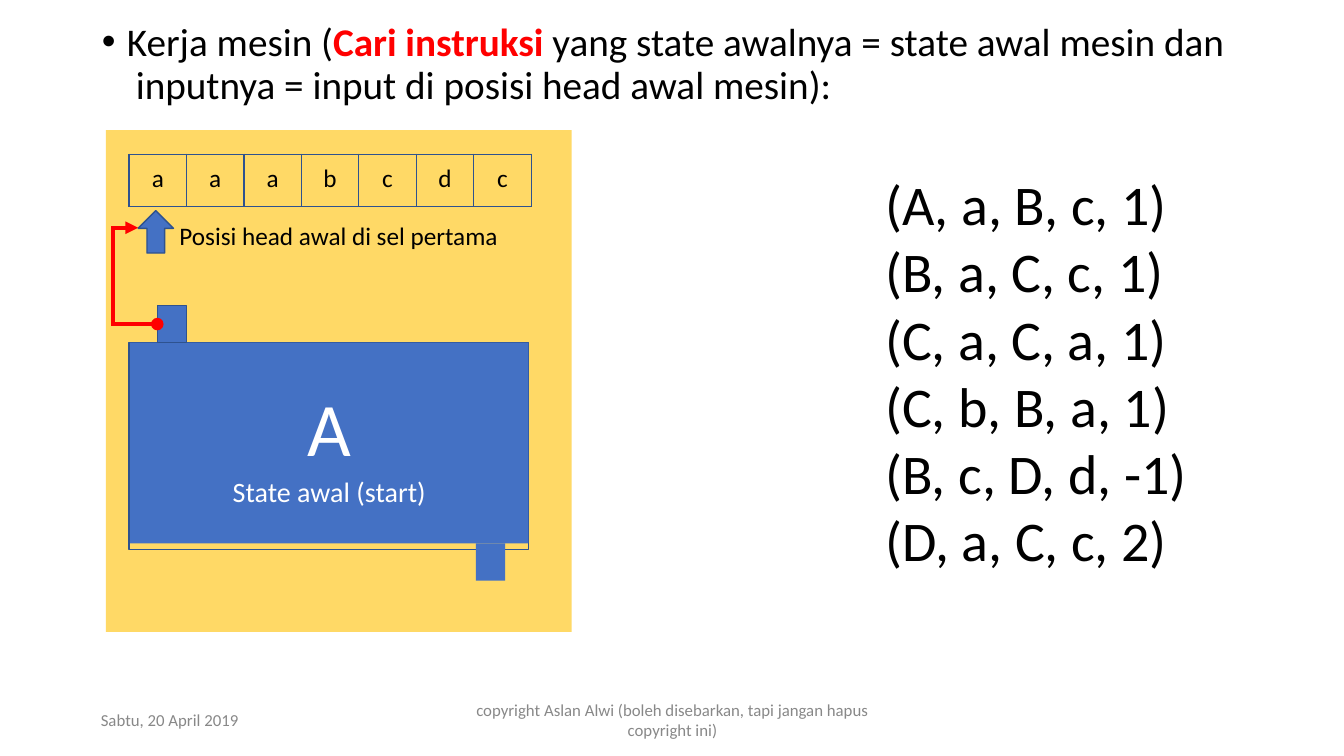
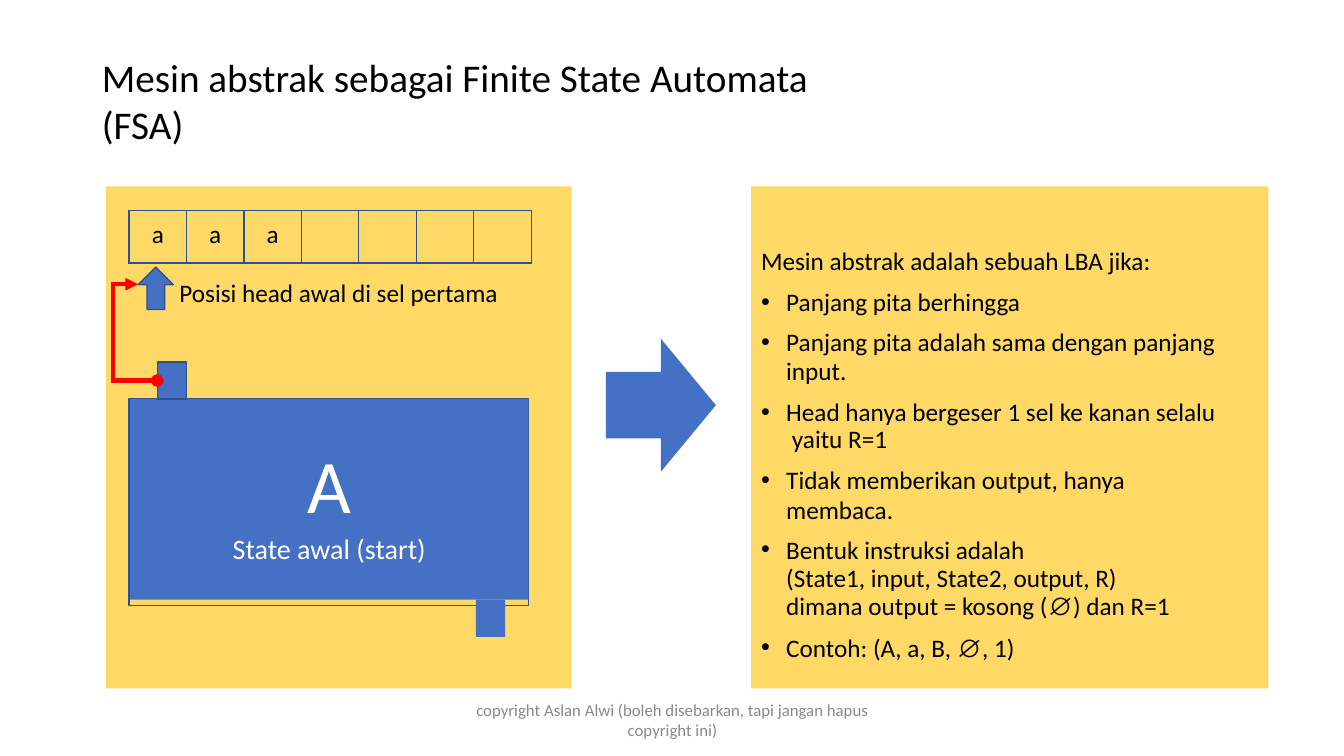
import pptx
import pptx.util
import pptx.dml.color
import pptx.enum.shapes
import pptx.enum.text
import pptx.oxml
import pptx.oxml.ns
import lxml.etree

Inches = pptx.util.Inches
Pt = pptx.util.Pt
RGBColor = pptx.dml.color.RGBColor
KIND = pptx.enum.shapes.MSO_SHAPE
ALIGN = pptx.enum.text.PP_ALIGN
ANCHOR = pptx.enum.text.MSO_ANCHOR
qn = pptx.oxml.ns.qn

BLACK = RGBColor(0x00, 0x00, 0x00)
WHITE = RGBColor(0xFF, 0xFF, 0xFF)
RED = RGBColor(0xFF, 0x00, 0x00)
GREY = RGBColor(0x88, 0x88, 0x88)
BLUE = RGBColor(0x44, 0x71, 0xC4)
NAVY = RGBColor(0x2E, 0x52, 0x8F)
GOLD = RGBColor(0xFF, 0xD9, 0x66)
FONT = "Calibri"


def draw(slide, kind, x, y, w, h, fill=None, line=None):
    shape = slide.shapes.add_shape(kind, Inches(x), Inches(y), Inches(w), Inches(h))
    shape.shadow.inherit = False
    if fill is None:
        shape.fill.background()
    else:
        shape.fill.solid()
        shape.fill.fore_color.rgb = fill
    if line is None:
        shape.line.fill.background()
    else:
        shape.line.color.rgb = line
        shape.line.width = Pt(1)
    return shape


def write(shape, rows, top=0, align=ALIGN.LEFT, color=BLACK):
    frame = shape.text_frame
    frame.word_wrap = True
    frame.vertical_anchor = ANCHOR.TOP
    frame.margin_left = frame.margin_right = frame.margin_bottom = 0
    frame.margin_top = Inches(top)
    for i, (text, size, before, lead, left) in enumerate(rows):
        para = frame.paragraphs[0] if i == 0 else frame.add_paragraph()
        para.text = text
        para.alignment = align
        if i:
            para.space_before = Pt(before)
        if lead:
            para.line_spacing = Pt(lead)
        if left:
            props = para._p.get_or_add_pPr()
            props.set("marL", str(Inches(left)))
            props.set("indent", str(Inches(-0.25)))
            face = lxml.etree.SubElement(props, qn("a:buFont"))
            face.set("typeface", "Arial")
            lxml.etree.SubElement(props, qn("a:buChar")).set("char", "•")
        para.font.name = FONT
        para.font.size = Pt(size)
        para.font.color.rgb = color
    return frame


deck = pptx.Presentation()
deck.slide_width = Inches(13.33)
deck.slide_height = Inches(7.5)

pages = []
for top, tape in ((1.29, "aaabcdc"), (1.85, "aaa    ")):
    page = deck.slides.add_slide(deck.slide_layouts[6])
    pages.append(page)
    draw(page, KIND.RECTANGLE, 1.05, top, 4.62, 4.98, GOLD)

    grid = page.shapes.add_table(
        1, 7, Inches(1.28), Inches(top + 0.24), Inches(4), Inches(0.52)).table
    grid.first_row = grid.horz_banding = False
    for i, sign in enumerate(tape):
        grid.columns[i].width = Inches(0.57)
        cell = grid.cell(0, i)
        cell.margin_left = cell.margin_right = cell.margin_bottom = 0
        cell.margin_top = Inches(0.09)
        props = cell._tc.get_or_add_tcPr()
        for side in ("a:lnL", "a:lnR", "a:lnT", "a:lnB"):
            edge = lxml.etree.SubElement(props, qn(side))
            edge.set("w", str(Pt(1)))
            ink = lxml.etree.SubElement(edge, qn("a:solidFill"))
            lxml.etree.SubElement(ink, qn("a:srgbClr")).set("val", str(NAVY))
        cell.fill.solid()
        cell.fill.fore_color.rgb = GOLD
        para = cell.text_frame.paragraphs[0]
        para.text = sign.strip()
        para.alignment = ALIGN.CENTER
        para.font.name = FONT
        para.font.size = Pt(18)
        para.font.color.rgb = BLACK

    draw(page, KIND.UP_ARROW, 1.37, top + 0.8, 0.35, 0.42, BLUE, NAVY)
    draw(page, KIND.RECTANGLE, 1.28, top + 2.11, 3.96, 2.05, None, NAVY)
    state = draw(page, KIND.RECTANGLE, 1.29, top + 2.11, 3.95, 1.99, BLUE)
    write(state, [("A", 54, 0, None, 0), ("State awal (start)", 20, 2, None, 0)],
          0.38, ALIGN.CENTER, WHITE)
    knob = draw(page, KIND.RECTANGLE, 1.56, top + 1.74, 0.29, 0.37, BLUE, NAVY)
    draw(page, KIND.RECTANGLE, 4.72, top + 4.1, 0.29, 0.37, BLUE)

    low, high = top + 1.925, top + 0.97
    route = [(1.56, low), (1.12, low), (1.12, high), (1.37, high)]
    for i, (start, stop) in enumerate(zip(route, route[1:])):
        wire = page.shapes.add_connector(
            pptx.enum.shapes.MSO_CONNECTOR.STRAIGHT,
            *[Inches(v) for v in start + stop])
        wire.line.color.rgb = RED
        wire.line.width = Pt(3)
        edge = wire.line._get_or_add_ln()
        edge.set("cap", "sq")
        if i == 0:
            wire.begin_connect(knob, 1)
            lxml.etree.SubElement(edge, qn("a:headEnd")).set("type", "oval")
        if i == 2:
            lxml.etree.SubElement(edge, qn("a:tailEnd")).set("type", "triangle")
        lxml.etree.SubElement(wire._element.spPr, qn("a:effectLst"))

    label = page.shapes.add_textbox(
        Inches(1.78), Inches(top + 0.89), Inches(3.3), Inches(0.33))
    write(label, [("Posisi head awal di sel pertama", 18, 0, None, 0)], 0.01)
    foot = page.shapes.add_textbox(Inches(4.57), Inches(6.97), Inches(4.2), Inches(0.4))
    write(foot, [("copyright Aslan Alwi (boleh disebarkan, tapi jangan hapus", 12, 0, 12.4, 0),
                 ("copyright ini)", 12, 0, None, 0)], 0, ALIGN.CENTER, GREY)

work, rules = pages

head = work.shapes.add_textbox(Inches(1), Inches(0.15), Inches(11.5), Inches(0.92))
para = write(head, [("Kerja mesin (", 28, 0, 30.3, 0.26)], 0.07).paragraphs[0]
key = para.add_run()
key.text = "Cari instruksi"
key.font.bold = True
key.font.color.rgb = RED
para.add_run().text = " yang state awalnya = state awal mesin dan"
para.add_line_break()
para.add_run().text = " inputnya = input di posisi head awal mesin):"

codes = ["(A, a, B, c, 1)", "(B, a, C, c, 1)", "(C, a, C, a, 1)",
         "(C, b, B, a, 1)", "(B, c, D, d, -1)", "(D, a, C, c, 2)"]
for y, h, part in ((1.66, 0.7, codes[:1]), (2.33, 3.36, codes[1:])):
    area = work.shapes.add_textbox(Inches(8.78), Inches(y), Inches(3.1), Inches(h))
    write(area, [(code, 40, 0, None, 0) for code in part], 0.02)

date = work.shapes.add_textbox(Inches(1), Inches(7.07), Inches(1.6), Inches(0.19))
write(date, [("Sabtu, 20 April 2019", 12, 0, 12.4, 0)], 0, color=GREY)

title = rules.shapes.add_textbox(Inches(1.01), Inches(0.52), Inches(7.69), Inches(0.95))
write(title, [("Mesin abstrak sebagai Finite State Automata (FSA)", 28, 0, None, 0)], 0.01)

draw(rules, KIND.RIGHT_ARROW, 6.01, 3.36, 1.09, 1.32, BLUE)
panel = draw(rules, KIND.RECTANGLE, 7.45, 1.85, 5.13, 4.98, GOLD)
frame = write(panel, [
    ("Mesin abstrak adalah sebuah LBA jika:", 18, 0, None, 0),
    ("Panjang pita berhingga", 18, 8, None, 0.25),
    ("Panjang pita adalah sama dengan panjang\vinput.", 18, 8, 20.5, 0.25),
    ("Head hanya bergeser 1 sel ke kanan selalu\v yaitu R=1", 18, 10, 19.5, 0.25),
    ("Tidak memberikan output, hanya\vmembaca.", 18, 7.5, None, 0.25),
    ("Bentuk instruksi adalah\v(State1, input, State2, output, R)\vdimana output = kosong (",
     18, 8, 20.2, 0.25),
    ("Contoh: (A, a, B, ", 18, 8, None, 0.25)], 0.58)
frame.margin_left = Inches(0.1)
for para, rest in zip(frame.paragraphs[-2:], (") dan R=1", ", 1)")):
    sign = para.add_run()
    sign.text = "∅"
    sign.font.name = "Arial"
    para.add_run().text = rest

deck.save("out.pptx")
